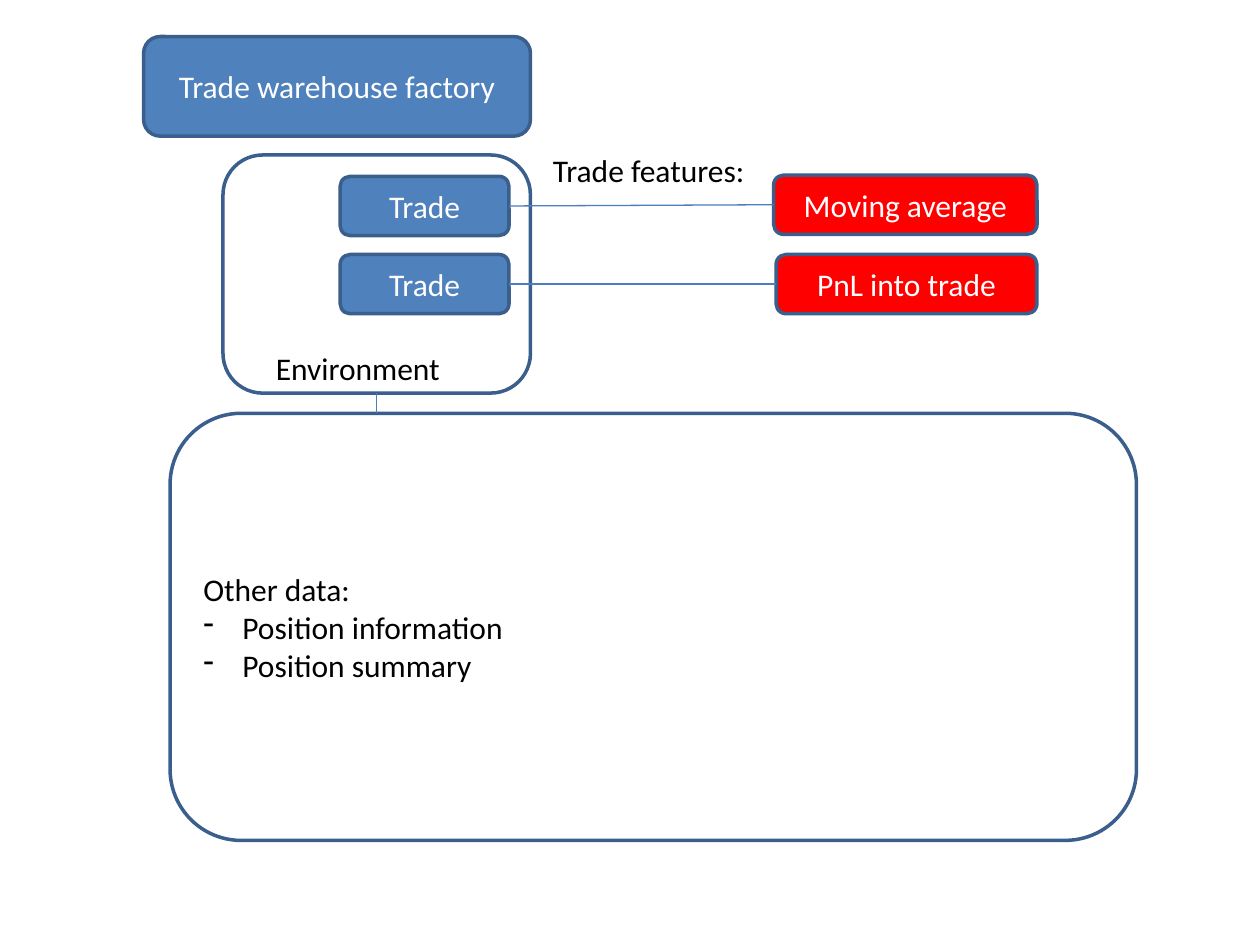
from collections import namedtuple

from lxml.etree import SubElement
from pptx import Presentation
from pptx.dml.color import RGBColor
from pptx.enum.shapes import MSO_CONNECTOR as Connector, MSO_SHAPE as Shape
from pptx.enum.text import MSO_ANCHOR as Anchor, MSO_AUTO_SIZE as AutoSize, PP_ALIGN as Align
from pptx.oxml.ns import qn
from pptx.util import Inches, Pt

BLUE = RGBColor(0x4F, 0x81, 0xBD)
OUTLINE = RGBColor(0x3A, 0x5F, 0x8C)
LINK = RGBColor(0x4B, 0x7E, 0xBC)
RED = RGBColor(0xFF, 0x00, 0x00)
WHITE = RGBColor(0xFF, 0xFF, 0xFF)
BLACK = RGBColor(0x00, 0x00, 0x00)

SLIDE_WIDTH, SLIDE_HEIGHT = Inches(10), Inches(7.5)
COLUMN, ROW = SLIDE_WIDTH / 100, SLIDE_HEIGHT / 75
NODE_ROWS = 4.7
LABEL_ROWS = 4
TOP, LEFT, BOTTOM, RIGHT = range(4)


class Box(namedtuple("Box", "column row columns rows")):
    def inner(self, column, row, columns, rows):
        return Box(self.column + column, self.row + row, columns, rows)

    def emu(self):
        return (int(self.column * COLUMN), int(self.row * ROW),
                int(self.columns * COLUMN), int(self.rows * ROW))


def write(text_frame, lines, color, align):
    text_frame.text = "\n".join(lines)
    for paragraph in text_frame.paragraphs:
        paragraph.alignment = align
        for run in paragraph.runs:
            run.font.name = "Calibri"
            run.font.size = Pt(18)
            run.font.color.rgb = color


def add_panel(slide, box, fill=None):
    panel = slide.shapes.add_shape(Shape.ROUNDED_RECTANGLE, *box.emu())
    panel.shadow.inherit = False
    if fill is None:
        panel.fill.background()
    else:
        panel.fill.solid()
        panel.fill.fore_color.rgb = fill
    panel.line.color.rgb = OUTLINE
    panel.line.width = Pt(2)
    panel.text_frame.vertical_anchor = Anchor.MIDDLE
    return panel


def add_node(slide, box, text, fill):
    node = add_panel(slide, box, fill)
    write(node.text_frame, [text], WHITE, Align.CENTER)
    return node


def add_label(slide, box, text):
    text_frame = slide.shapes.add_textbox(*box.emu()).text_frame
    text_frame.word_wrap = False
    text_frame.auto_size = AutoSize.SHAPE_TO_FIT_TEXT
    write(text_frame, [text], BLACK, Align.LEFT)


def link(slide, start, start_side, end, end_side):
    connector = slide.shapes.add_connector(Connector.STRAIGHT, 0, 0, 0, 0)
    connector.begin_connect(start, start_side)
    connector.end_connect(end, end_side)
    connector.line.color.rgb = LINK
    connector.line.width = Pt(0.75)
    SubElement(connector._element.spPr, qn("a:effectLst"))


def add_environment(slide, box):
    frame = add_panel(slide, box, WHITE)
    trades = [add_node(slide, box.inner(9.3, row, 13.4, NODE_ROWS), "Trade", BLUE)
              for row in (1.7, 7.9)]
    add_label(slide, box.inner(3.2, 14.9, 15.2, LABEL_ROWS), "Environment")
    return frame, trades


def add_features(slide, box, trades):
    add_label(slide, box.inner(0, 0, 17.4, LABEL_ROWS), "Trade features:")
    features = [("Moving average", 18.5, 2.4), ("PnL into trade", 18.7, 8.7)]
    for trade, (text, column, row) in zip(trades, features):
        place = box.inner(column, row, box.columns - column, NODE_ROWS)
        link(slide, trade, RIGHT, add_node(slide, place, text, RED), LEFT)


def add_other_data(slide, box):
    panel = add_panel(slide, box)
    lines = ["Other data:", "Position information", "Position summary"]
    write(panel.text_frame, lines, BLACK, Align.LEFT)
    indent = Inches(0.31)
    for paragraph in panel.text_frame.paragraphs[1:]:
        properties = paragraph._p.get_or_add_pPr()
        properties.set("marL", str(indent))
        properties.set("indent", str(-indent))
        SubElement(properties, qn("a:buFontTx"))
        SubElement(properties, qn("a:buChar"), char="-")
    return panel


def main():
    presentation = Presentation()
    presentation.slide_width, presentation.slide_height = SLIDE_WIDTH, SLIDE_HEIGHT
    slide = presentation.slides.add_slide(presentation.slide_layouts[6])
    environment, trades = add_environment(slide, Box(17.7, 12.3, 24.4, 18.9))
    add_node(slide, Box(11.4, 2.9, 30.7, 7.9), "Trade warehouse factory", BLUE)
    add_features(slide, Box(42.9, 11.5, 39.4, 13.4), trades)
    other_data = add_other_data(slide, Box(13.5, 32.8, 76.7, 33.9))
    add_environment_link(slide, environment, other_data)
    presentation.save("out.pptx")


def add_environment_link(slide, environment, other_data):
    connector = slide.shapes.add_connector(
        Connector.STRAIGHT, 0, 0,
        environment.left + environment.width // 2, other_data.top)
    connector.begin_connect(environment, BOTTOM)
    connector.line.color.rgb = LINK
    connector.line.width = Pt(0.75)
    SubElement(connector._element.spPr, qn("a:effectLst"))


if __name__ == "__main__":
    main()
